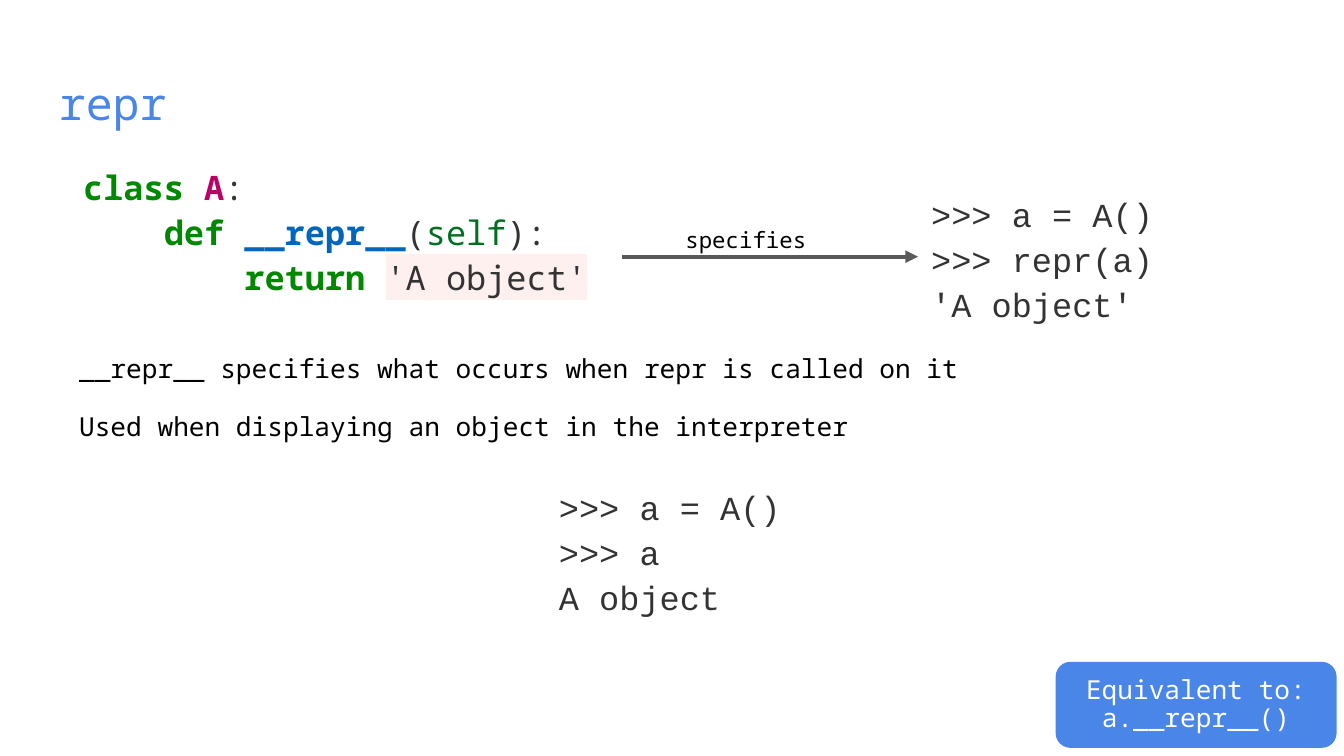
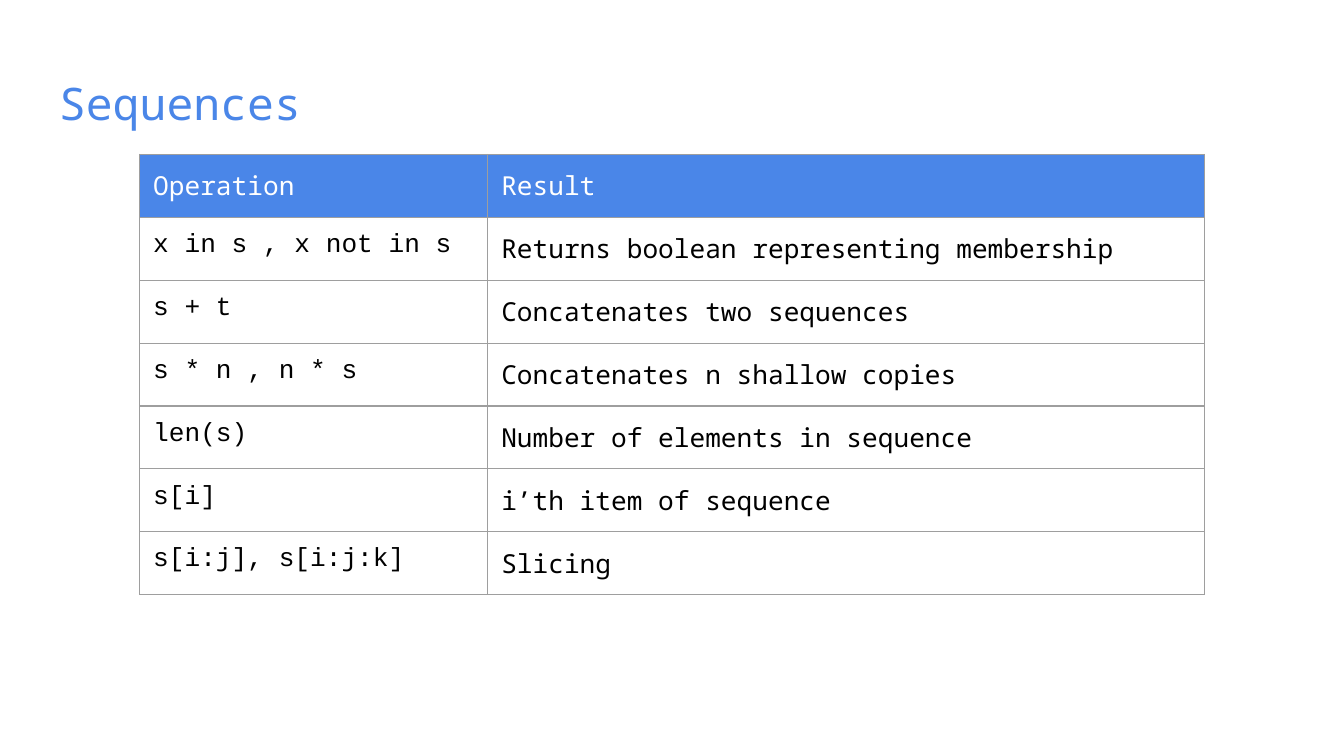
from dataclasses import dataclass
from typing import NamedTuple

from lxml.etree import Element, SubElement
from pptx import Presentation
from pptx.dml.color import RGBColor
from pptx.enum.shapes import MSO_CONNECTOR, MSO_SHAPE
from pptx.enum.text import MSO_ANCHOR as Anchor, PP_ALIGN as Align
from pptx.oxml.ns import qn
from pptx.util import Inches, Pt

# Grid: 100 columns across and 56.25 square rows down
WIDTH, HEIGHT = Inches(10), Inches(5.625)
COLUMN, ROW = WIDTH / 100, HEIGHT / 56.25
INSET = Inches(0.1)

# Shared style
SANS, COURIER = "Noto Sans Mono", "Courier New"
BLUE, WHITE, BLACK = "4A86E8", "FFFFFF", "000000"
CODE, KEYWORD, CLASS_NAME = "333333", "008800", "BB0066"
FUNCTION, BUILTIN, STRING_BACK = "0066BB", "007020", "FFF0F0"
ARROW, BORDER = "595959", "9E9E9E"
CODE_SIZE, CODE_LEADING = 18, Pt(24)
CODE_INDENT = Pt(4 * 0.6 * CODE_SIZE)


class Box(NamedTuple):
    """A place on the grid, in columns and rows."""
    left: float
    top: float
    width: float
    height: float

    def lengths(self) -> tuple:
        return (round(self.left * COLUMN), round(self.top * ROW),
                round(self.width * COLUMN), round(self.height * ROW))


class Piece(NamedTuple):
    """A stretch of text in one style."""
    text: str
    color: str = ""
    bold: bool = False
    highlight: str = ""


class Line(NamedTuple):
    pieces: list
    indent: int = 0


@dataclass(frozen=True)
class Style:
    size: float
    color: str = BLACK
    font: str = SANS
    align: Align = Align.LEFT
    anchor: Anchor = Anchor.TOP
    leading: float = 1.0
    gap: float = 0


TITLE = Style(24, BLUE, leading=0.95)
SOURCE = Style(CODE_SIZE, CODE, leading=CODE_LEADING)
CONSOLE = Style(CODE_SIZE, CODE, COURIER, leading=CODE_LEADING)
CONSOLE_MIDDLE = Style(CODE_SIZE, CODE, COURIER, anchor=Anchor.MIDDLE,
                       leading=CODE_LEADING)
LABEL = Style(12, align=Align.CENTER)
NOTES = Style(14, leading=0.95, gap=15)
CALLOUT = Style(14, WHITE, align=Align.CENTER, anchor=Anchor.MIDDLE, leading=0.9)
HEADER_CELL = Style(14, WHITE)
CODE_CELL = Style(14, font=COURIER)
TEXT_CELL = Style(14)

# Content
CLASS_SOURCE = [
    Line([Piece("class ", KEYWORD, True), Piece("A", CLASS_NAME, True), Piece(":")]),
    Line([Piece("def ", KEYWORD, True), Piece("__repr__", FUNCTION, True),
          Piece("("), Piece("self", BUILTIN), Piece("):")], 1),
    Line([Piece("return ", KEYWORD, True),
          Piece("'A object'", highlight=STRING_BACK)], 2),
]
OPERATIONS = [
    ("Operation", "Result"),
    ("x in s , x not in s", "Returns boolean representing membership"),
    ("s + t", "Concatenates two sequences"),
    ("s * n , n * s", "Concatenates n shallow copies"),
    ("len(s)", "Number of elements in sequence"),
    ("s[i]", "i’th item of sequence"),
    ("s[i:j], s[i:j:k]", "Slicing"),
]
TABLE_COLUMNS, TABLE_ROW = (25.9, 53.3), 4.68


def rgb(color: str) -> RGBColor:
    return RGBColor.from_string(color)


def plain(*texts: str) -> list:
    return [Line([Piece(text)]) for text in texts]


def add_highlight(run, color: str) -> None:
    highlight = Element(qn("a:highlight"))
    SubElement(highlight, qn("a:srgbClr"), val=color)
    run.font._element.find(qn("a:latin")).addprevious(highlight)


def write(text_frame, lines: list, style: Style) -> None:
    """Fill a text frame with styled lines."""
    for index, line in enumerate(lines):
        paragraph = text_frame.add_paragraph() if index else text_frame.paragraphs[0]
        paragraph.alignment = style.align
        paragraph.line_spacing = style.leading
        if index and style.gap:
            paragraph.space_before = Pt(style.gap)
        if line.indent:
            properties = paragraph._p.get_or_add_pPr()
            properties.set("marL", str(line.indent * CODE_INDENT))
            properties.set("indent", "0")
        for piece in line.pieces:
            run = paragraph.add_run()
            run.text = piece.text
            run.font.size = Pt(style.size)
            run.font.bold = piece.bold
            run.font.color.rgb = rgb(piece.color or style.color)
            run.font.name = style.font
            if piece.highlight:
                add_highlight(run, piece.highlight)


def fill_shape(shape, lines: list, style: Style) -> None:
    frame = shape.text_frame
    frame.word_wrap = True
    frame.margin_left = frame.margin_right = INSET
    frame.margin_top = frame.margin_bottom = INSET
    frame.vertical_anchor = style.anchor
    write(frame, lines, style)


def add_text(slide, box: Box, lines: list, style: Style):
    shape = slide.shapes.add_textbox(*box.lengths())
    fill_shape(shape, lines, style)
    return shape


def add_callout(slide, box: Box, lines: list) -> None:
    shape = slide.shapes.add_shape(MSO_SHAPE.ROUNDED_RECTANGLE, *box.lengths())
    shape.shadow.inherit = False
    shape.fill.solid()
    shape.fill.fore_color.rgb = rgb(BLUE)
    shape.line.color.rgb = rgb(BLUE)
    shape.line.width = Pt(0.75)
    fill_shape(shape, lines, CALLOUT)


def add_arrow(slide, source, target) -> None:
    """Join the right side of one shape to the left side of another."""
    arrow = slide.shapes.add_connector(MSO_CONNECTOR.STRAIGHT, 0, 0, 0, 0)
    arrow.begin_connect(source, 3)
    arrow.end_connect(target, 1)
    arrow.line.color.rgb = rgb(ARROW)
    arrow.line.width = Pt(2.25)
    SubElement(arrow.line._get_or_add_ln(), qn("a:tailEnd"), type="triangle")
    SubElement(arrow._element.spPr, qn("a:effectLst"))


def set_borders(cell) -> None:
    properties = cell._tc.get_or_add_tcPr()
    for index, side in enumerate(("lnL", "lnR", "lnT", "lnB")):
        border = Element(qn(f"a:{side}"), w=str(Pt(0.75)))
        fill = SubElement(border, qn("a:solidFill"))
        SubElement(fill, qn("a:srgbClr"), val=BORDER)
        properties.insert(index, border)


def add_operations(slide, left: float, top: float) -> None:
    box = Box(left, top, sum(TABLE_COLUMNS), TABLE_ROW * len(OPERATIONS))
    table = slide.shapes.add_table(len(OPERATIONS), len(TABLE_COLUMNS),
                                   *box.lengths()).table
    table.first_row = table.horz_banding = False
    for column, width in zip(table.columns, TABLE_COLUMNS):
        column.width = round(width * COLUMN)
    for row_index, texts in enumerate(OPERATIONS):
        table.rows[row_index].height = round(TABLE_ROW * ROW)
        for column_index, text in enumerate(texts):
            cell = table.cell(row_index, column_index)
            cell.margin_left = cell.margin_right = INSET
            cell.margin_top = cell.margin_bottom = INSET
            if row_index == 0:
                style = HEADER_CELL
                cell.fill.solid()
                cell.fill.fore_color.rgb = rgb(BLUE)
            else:
                style = TEXT_CELL if column_index else CODE_CELL
                cell.fill.background()
            set_borders(cell)
            write(cell.text_frame, plain(text), style)


def add_titled_slide(presentation, title: str):
    slide = presentation.slides.add_slide(presentation.slide_layouts[6])
    slide.background.fill.solid()
    slide.background.fill.fore_color.rgb = rgb(WHITE)
    add_text(slide, Box(3.4, 4.9, 93.2, 6.3), plain(title), TITLE)
    return slide


def build_repr(presentation) -> None:
    slide = add_titled_slide(presentation, "repr")
    # Class definition and what it leads to
    source = add_text(slide, Box(5.2, 11.1, 41.1, 16), CLASS_SOURCE, SOURCE)
    result = add_text(slide, Box(68.3, 15.2, 18.9, 7.8),
                      plain(">>> a = A()", ">>> repr(a)", "'A object'"),
                      CONSOLE_MIDDLE)
    add_arrow(slide, source, result)
    add_text(slide, Box(49.8, 15.8, 11.4, 4.2), plain("specifies"), LABEL)
    # Explanation and example
    add_text(slide, Box(4.9, 25.4, 88.1, 9.5),
             plain("__repr__ specifies what occurs when repr is called on it",
                   "Used when displaying an object in the interpreter"), NOTES)
    add_text(slide, Box(40.6, 34.9, 18.9, 11.9),
             plain(">>> a = A()", ">>> a", "A object"), CONSOLE)
    add_callout(slide, Box(78.6, 49.3, 20.8, 6.3),
                plain("Equivalent to:", "a.__repr__()"))


def build_sequences(presentation) -> None:
    slide = add_titled_slide(presentation, "Sequences")
    add_operations(slide, 10.4, 11.5)


def main() -> None:
    presentation = Presentation()
    presentation.slide_width, presentation.slide_height = WIDTH, HEIGHT
    build_repr(presentation)
    build_sequences(presentation)
    presentation.save("out.pptx")


if __name__ == "__main__":
    main()
